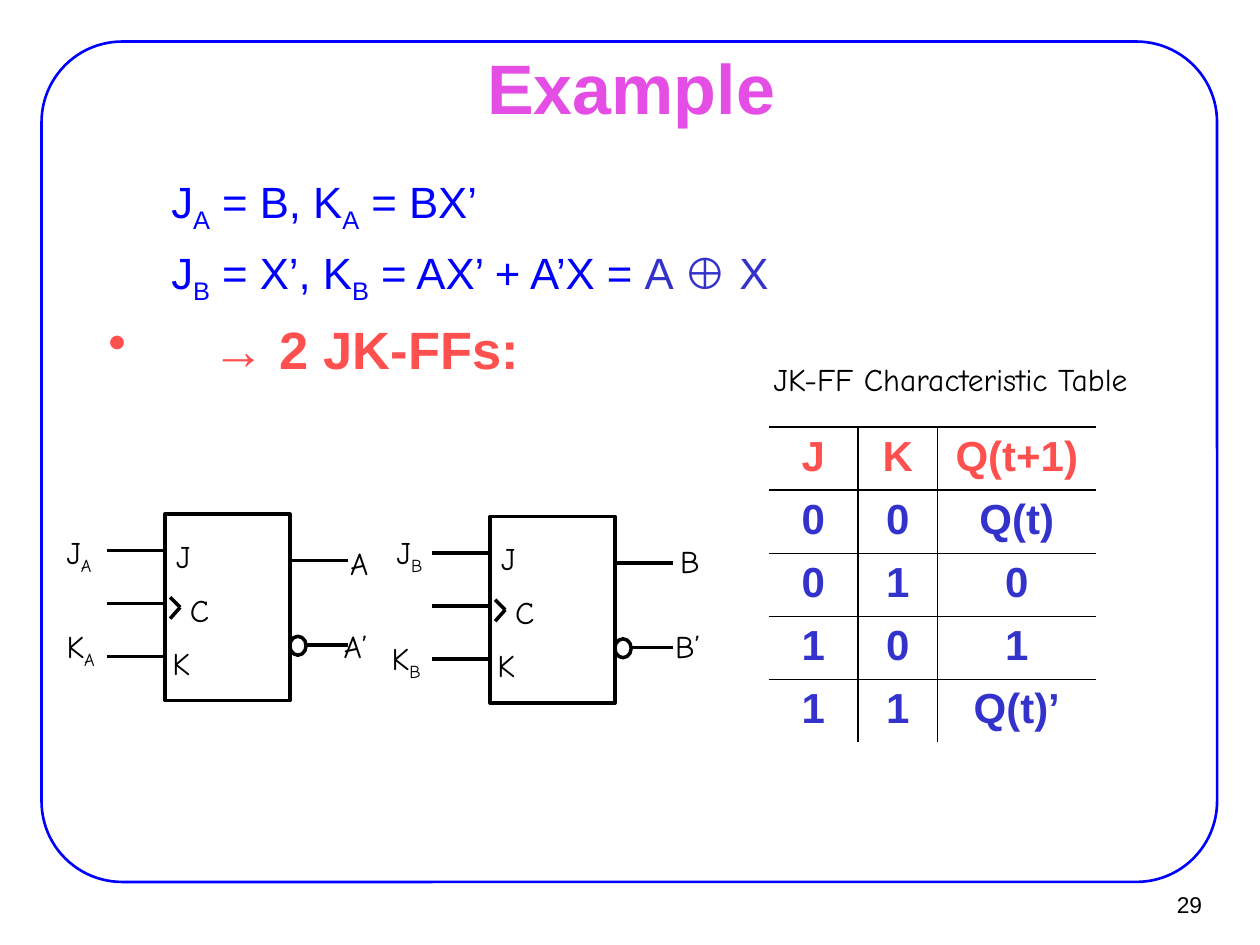
from lxml import etree
from pptx import Presentation
from pptx import util as u
from pptx.dml.color import RGBColor
from pptx.enum import shapes, text
from pptx.oxml import ns

COLORS = {"frame": "0000FF", "title": "E44EE4", "equation": "0000FF",
          "accent": "FF5050", "value": "3333CC", "ink": "000000"}
COLUMNS, ROWS = 100, 75  # grid cells across and down the slide
CELL = u.Inches(0.1)
LABEL_INSETS = (1, 0.5, 1, 0.5)
BODY_INSETS = (1.1, 0.6, 1.1, 0.6)
ALIGN, ANCHOR, FIT = text.PP_ALIGN, text.MSO_ANCHOR, text.MSO_AUTO_SIZE


def grid(*cells):
    return [u.Emu(round(cell * CELL)) for cell in cells]


def rgb(color):
    return RGBColor.from_string(COLORS[color])


def add_xml(parent, tag, **attributes):
    return etree.SubElement(parent, ns.qn(tag), attributes)


def write(paragraph, content, size=18, font="Comic Neue", color="ink",
          bold=False, align=ALIGN.LEFT, before=0, indent=None, bullet=None):
    """Write text into a paragraph; the letter after "_" is a subscript."""
    properties = paragraph._p.get_or_add_pPr()
    if indent:
        margin, first = grid(*indent)
        properties.set("marL", str(margin))
        properties.set("indent", str(first))
    if bullet:
        add_xml(properties, "a:buChar", char=bullet)
    paragraph.alignment = align
    paragraph.space_before = u.Pt(before)
    paragraph.font.size = u.Pt(size)

    def add_run(piece, subscript=False):
        if not piece:
            return
        run = paragraph.add_run()
        run.text = piece
        run.font.size, run.font.name, run.font.bold = u.Pt(size), font, bold
        run.font.color.rgb = rgb(run_color)
        if subscript:
            run.font._element.set("baseline", "-25000")

    parts = [(content, color)] if isinstance(content, str) else content
    for part, run_color in parts:
        head, *tails = part.split("_")
        add_run(head)
        for tail in tails:
            add_run(tail[0], subscript=True)
            add_run(tail[1:])


def add_box(slide, place, insets=LABEL_INSETS, anchor=ANCHOR.TOP,
            wrap=False, fit=FIT.NONE):
    frame = slide.shapes.add_textbox(*grid(*place)).text_frame
    (frame.margin_left, frame.margin_top,
     frame.margin_right, frame.margin_bottom) = grid(*insets)
    frame.vertical_anchor, frame.word_wrap, frame.auto_size = anchor, wrap, fit
    return frame


def add_label(slide, content, place, **style):
    frame = add_box(slide, place, fit=FIT.SHAPE_TO_FIT_TEXT)
    write(frame.paragraphs[0], content, **style)


def add_outline(slide, kind, place, color="ink", width=2):
    outline = slide.shapes.add_shape(kind, *grid(*place))
    outline.shadow.inherit = False
    outline.fill.background()
    outline.line.color.rgb = rgb(color)
    outline.line.width = u.Pt(width)
    return outline


def add_wire(slide, x1, y1, x2, y2):
    wire = slide.shapes.add_connector(shapes.MSO_CONNECTOR.STRAIGHT,
                                      *grid(x1, y1, x2, y2))
    wire.line.color.rgb = rgb("ink")
    wire.line.width = u.Pt(2)
    add_xml(wire._element.spPr, "a:effectLst")


def add_flip_flop(slide, left, top, outside):
    """Draw a JK flip-flop; outside maps each outer label to its place."""
    add_outline(slide, shapes.MSO_SHAPE.RECTANGLE, (left, top, 9.9, 14.8))
    right = left + 9.9

    # Inputs J, C and K, then outputs Q and Q'
    for row in (2.9, 7.1, 11.3):
        add_wire(slide, left - 4.6, top + row, left, top + row)
    for start, row in ((0, 3.7), (1.3, 10.4)):
        add_wire(slide, right + start, top + row, right + 4.6, top + row)
    add_outline(slide, shapes.MSO_SHAPE.OVAL, (right, top + 9.7, 1.3, 1.5))

    # Clock edge mark
    for row in (6.6, 8.3):
        add_wire(slide, left + 0.4, top + row, left + 1.2, top + 7.4)

    for name, x, y in (("J", -0.1, 1.3), ("K", -0.4, 9.8), ("C", 1, 5.6)):
        add_label(slide, name, (left + x, top + y, 3.6, 4.5))
    for name, (x, y, width) in outside.items():
        add_label(slide, name, (x, y, width, 4.5))


def set_border(cell, side, shown):
    border = add_xml(cell._tc.get_or_add_tcPr(), f"a:ln{side}",
                     w=str(u.Pt(1)))
    if shown:
        fill = add_xml(border, "a:solidFill")
        add_xml(fill, "a:srgbClr", val=COLORS["ink"])
    else:
        add_xml(border, "a:noFill")


def add_characteristic_table(slide, place, widths, rows):
    table = slide.shapes.add_table(len(rows), len(widths), *grid(*place)).table
    table.first_row = table.horz_banding = False
    for column, width in zip(table.columns, grid(*widths)):
        column.width = width
    last_row, last_column = len(rows) - 1, len(widths) - 1
    for r, row in enumerate(rows):
        for c, value in enumerate(row):
            cell = table.cell(r, c)
            for side, shown in (("L", c > 0), ("R", c < last_column),
                                ("T", True), ("B", r < last_row)):
                set_border(cell, side, shown)
            cell.fill.background()
            write(cell.text_frame.paragraphs[0], value, size=24, font="Arial",
                  color="value" if r else "accent", bold=True,
                  align=ALIGN.CENTER)


def add_equations(slide):
    body = add_box(slide, (7.5, 13.3, 85, 28.9), BODY_INSETS, wrap=True)
    equation = dict(size=25, font="Arial", color="equation",
                    indent=(8.1, -3.1))
    write(body.paragraphs[0], "J_A = B, K_A = BX’", **equation)
    write(body.add_paragraph(), [("J_B = X’, K_B = AX’ + A’X = ", "equation"),
                                 ("A ⊕ X", "value")], before=6, **equation)
    write(body.add_paragraph(), "→ 2 JK-FFs:", size=30, font="Arial",
          color="accent", bold=True, before=7, indent=(8.3, -8.3), bullet="•")


def main():
    deck = Presentation()
    deck.slide_width, deck.slide_height = grid(COLUMNS, ROWS)
    slide = deck.slides.add_slide(deck.slide_layouts[6])

    # Frame, page number and title
    frame = add_outline(slide, shapes.MSO_SHAPE.ROUNDED_RECTANGLE,
                        (3.3, 3.3, 93.3, 66.7), "frame", 1.5)
    frame.adjustments[0] = 0.096
    page = add_box(slide, (90.2, 69.9, 6.1, 3.7), (0.9, 0.4, 0.9, 0.4),
                   ANCHOR.MIDDLE)
    write(page.paragraphs[0], "29", size=13, font="Arial", align=ALIGN.RIGHT)
    title = add_box(slide, (7.6, 4.4, 85, 4.9), BODY_INSETS, ANCHOR.MIDDLE,
                    wrap=True)
    write(title.paragraphs[0], "Example", size=40, font="Arial",
          color="title", bold=True, align=ALIGN.CENTER)

    add_equations(slide)

    # Flip-flops A and B
    add_flip_flop(slide, 13.1, 40.8, {
        "J_A": (4.3, 41.8, 4.9), "K_A": (4.3, 49.3, 4.8),
        "A": (26.8, 42.7, 3.8), "A’": (26.3, 49.3, 4.3)})
    add_flip_flop(slide, 38.9, 41, {
        "J_B": (30.5, 41.8, 4.7), "K_B": (30.1, 50.2, 4.6),
        "B": (53, 42.5, 3.6), "B’": (52.6, 49.3, 4)})

    # Characteristic table with its heading
    add_characteristic_table(slide, (61, 33.9, 26, 25), (7.1, 6.3, 12.6), [
        ("J", "K", "Q(t+1)"), ("0", "0", "Q(t)"), ("0", "1", "0"),
        ("1", "0", "1"), ("1", "1", "Q(t)’")])
    add_label(slide, "JK-FF Characteristic Table", (58.4, 28.1, 34.1, 4),
              align=ALIGN.CENTER)

    deck.save("out.pptx")


if __name__ == "__main__":
    main()
